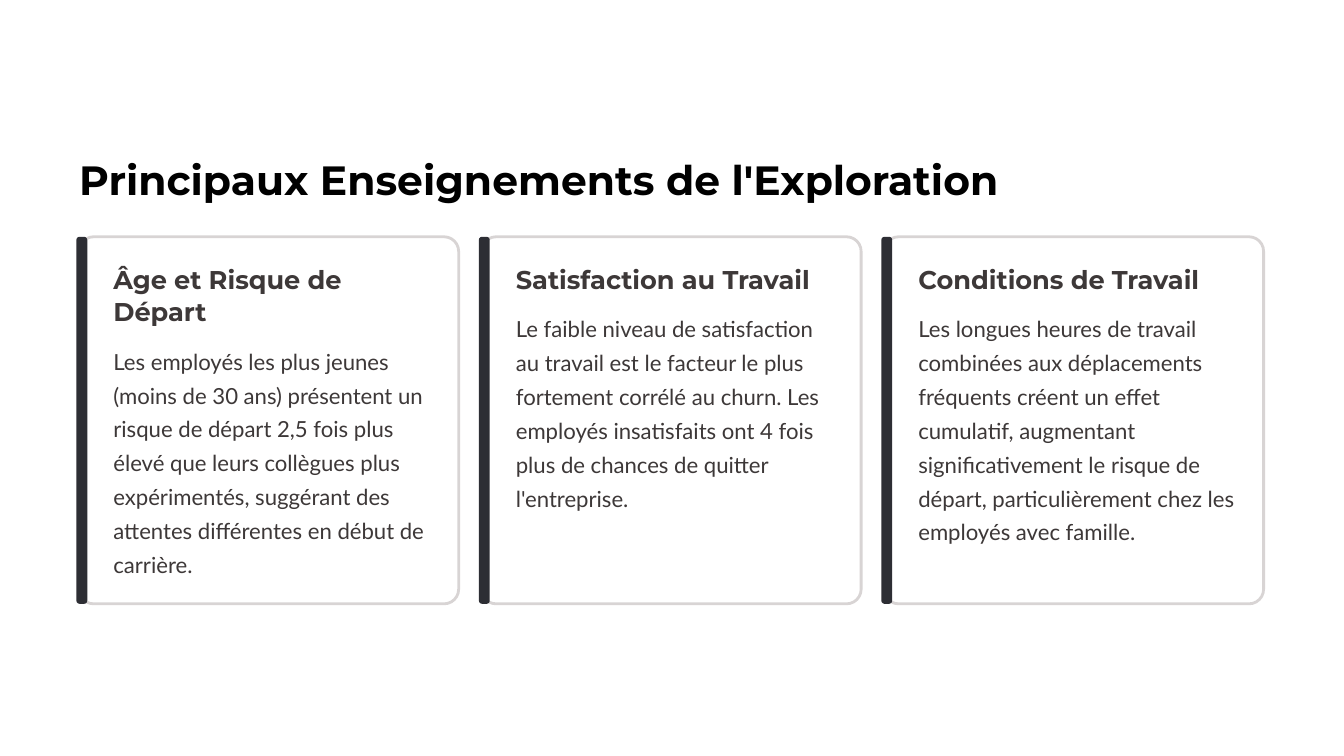
from dataclasses import dataclass

import pptx
import pptx.dml.color
import pptx.enum.shapes
import pptx.enum.text
import pptx.shapes.autoshape
import pptx.slide
import pptx.text.text
import pptx.util
from pptx.util import Cm

RGBColor = pptx.dml.color.RGBColor
BLACK = RGBColor(0x00, 0x00, 0x00)
WHITE = RGBColor(0xFF, 0xFF, 0xFF)
BORDER_GREY = RGBColor(0xD8, 0xD4, 0xD4)
ACCENT_DARK = RGBColor(0x2D, 0x2E, 0x34)
TEXT_GREY = RGBColor(0x3D, 0x38, 0x38)

CARD_LEFT, CARD_TOP, CARD_WIDTH, CARD_HEIGHT = 2.39, 7.16, 11.48, 11.1
CARD_PITCH = 12.17
BAR_OFFSET, BAR_WIDTH = -0.08, 0.33
TEXT_OFFSET, TEXT_WIDTH = 1.04, 9.7
HEADING_TOP, HEADING_LINE, HEADING_GAP = 7.95, 0.98, 0.4
BODY_HEIGHT = 7.19


@dataclass(frozen=True)
class TextStyle:
    font: str
    size: float
    line_spacing: float
    color: RGBColor
    bold: bool = False


@dataclass(frozen=True)
class Card:
    heading: str
    body: str
    heading_lines: int = 1


TITLE_STYLE = TextStyle("Montserrat", 35, 44, BLACK, bold=True)
HEADING_STYLE = TextStyle("Montserrat", 22, 27.5, TEXT_GREY, bold=True)
BODY_STYLE = TextStyle("Lato", 19, 29, TEXT_GREY)

CARDS = [
    Card(
        "Âge et Risque de Départ",
        "Les employés les plus jeunes (moins de 30 ans) présentent un risque de "
        "départ 2,5 fois plus élevé que leurs collègues plus expérimentés, "
        "suggérant des attentes différentes en début de carrière.",
        heading_lines=2,
    ),
    Card(
        "Satisfaction au Travail",
        "Le faible niveau de satisfaction au travail est le facteur le plus "
        "fortement corrélé au churn. Les employés insatisfaits ont 4 fois plus "
        "de chances de quitter l'entreprise.",
    ),
    Card(
        "Conditions de Travail",
        "Les longues heures de travail combinées aux déplacements fréquents "
        "créent un effet cumulatif, augmentant significativement le risque de "
        "départ, particulièrement chez les employés avec famille.",
    ),
]


def write_text(frame: pptx.text.text.TextFrame, text: str, style: TextStyle) -> None:
    frame.text = text
    frame.word_wrap = True
    frame.auto_size = pptx.enum.text.MSO_AUTO_SIZE.NONE
    frame.vertical_anchor = pptx.enum.text.MSO_ANCHOR.TOP
    frame.margin_left = frame.margin_right = frame.margin_top = frame.margin_bottom = 0
    paragraph = frame.paragraphs[0]
    paragraph.alignment = pptx.enum.text.PP_ALIGN.LEFT
    paragraph.line_spacing = pptx.util.Pt(style.line_spacing)
    font = paragraph.runs[0].font
    font.name = style.font
    font.size = pptx.util.Pt(style.size)
    font.bold = style.bold
    font.color.rgb = style.color


def add_text(slide: pptx.slide.Slide, left: float, top: float, height: float,
             text: str, style: TextStyle) -> None:
    box = slide.shapes.add_textbox(Cm(left), Cm(top), Cm(TEXT_WIDTH), Cm(height))
    write_text(box.text_frame, text, style)


def add_panel(slide: pptx.slide.Slide, left: float, width: float, rounding: float,
              fill: RGBColor) -> pptx.shapes.autoshape.Shape:
    """Add a rounded rectangle of card height, without outline."""
    shape = slide.shapes.add_shape(
        pptx.enum.shapes.MSO_SHAPE.ROUNDED_RECTANGLE,
        Cm(left), Cm(CARD_TOP), Cm(width), Cm(CARD_HEIGHT),
    )
    shape.adjustments[0] = rounding
    shape.shadow.inherit = False
    shape.fill.solid()
    shape.fill.fore_color.rgb = fill
    shape.line.fill.background()
    return shape


def add_card(slide: pptx.slide.Slide, card: Card, left: float) -> None:
    panel = add_panel(slide, left, CARD_WIDTH, 0.04, WHITE)
    panel.line.color.rgb = BORDER_GREY
    panel.line.width = pptx.util.Pt(2.4)
    add_panel(slide, left + BAR_OFFSET, BAR_WIDTH, 0.3, ACCENT_DARK)

    text_left = left + TEXT_OFFSET
    heading_height = card.heading_lines * HEADING_LINE
    body_top = HEADING_TOP + heading_height + HEADING_GAP
    add_text(slide, text_left, HEADING_TOP, heading_height, card.heading, HEADING_STYLE)
    add_text(slide, text_left, body_top, BODY_HEIGHT, card.body, BODY_STYLE)


def main() -> None:
    presentation = pptx.Presentation()
    presentation.slide_width = Cm(40.64)
    presentation.slide_height = Cm(22.86)
    title_only = presentation.slide_layouts.get_by_name("Title Only")
    slide = presentation.slides.add_slide(title_only)

    title = slide.shapes.title
    title.left, title.top = Cm(CARD_LEFT), Cm(4.6)
    title.width, title.height = Cm(28.14), Cm(1.55)
    write_text(title.text_frame, "Principaux Enseignements de l'Exploration", TITLE_STYLE)

    for index, card in enumerate(CARDS):
        add_card(slide, card, CARD_LEFT + index * CARD_PITCH)

    presentation.save("out.pptx")


if __name__ == "__main__":
    main()
